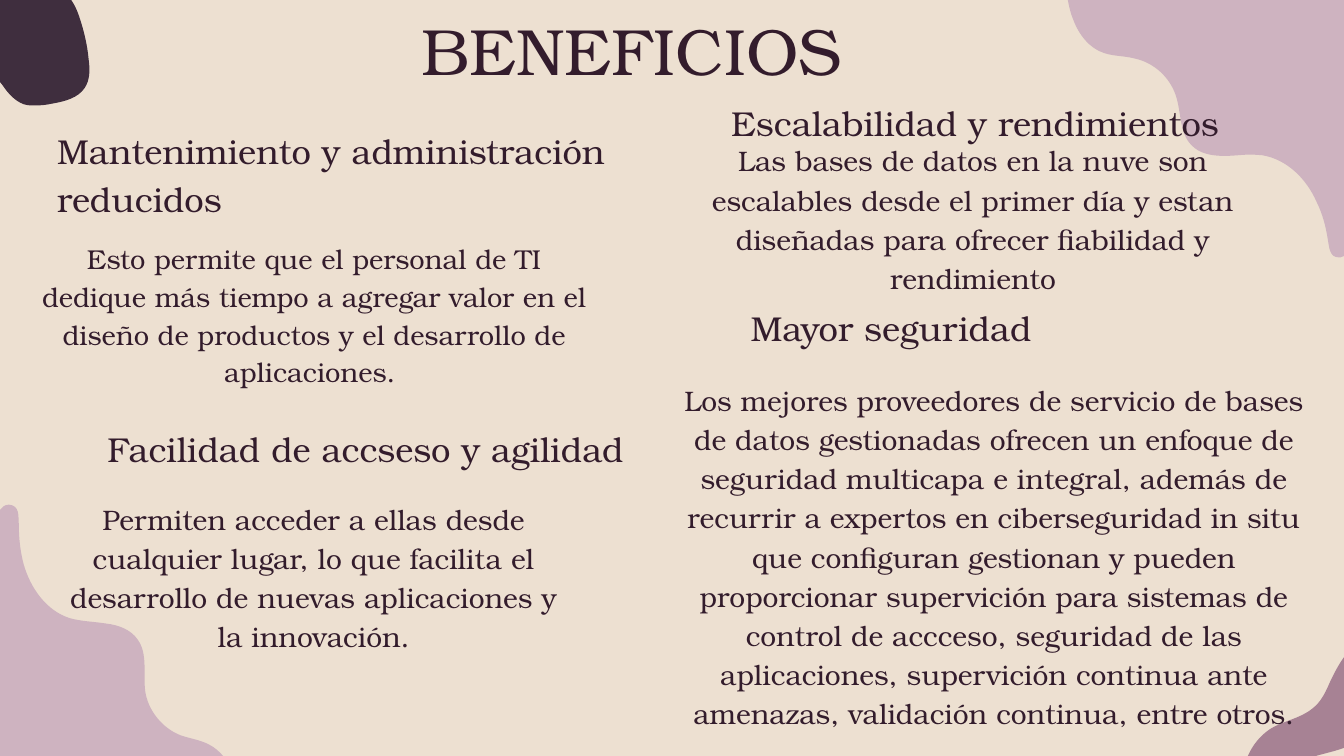
import pptx
import pptx.util
import pptx.dml.color
import pptx.enum.text
import pptx.oxml.ns
import lxml.etree

COLORS = {
    "cream": "EDE0D1",
    "ink": "331C2C",
    "lilac": "CEB3C0",
    "plum": "3F2E3E",
    "mauve": "A78294",
}
FONT = "TeX Gyre Bonum"
LEFT = pptx.enum.text.PP_ALIGN.LEFT
CENTER = pptx.enum.text.PP_ALIGN.CENTER

deck = pptx.Presentation()
deck.slide_width = pptx.util.Inches(20)
deck.slide_height = pptx.util.Inches(11.25)
COLS, ROWS = 20, 11.25  # square grid cells
cell = deck.slide_width / COLS
slide = deck.slides.add_slide(deck.slide_layouts[5])


def rgb(name):
    return pptx.dml.color.RGBColor.from_string(COLORS[name])


def write(box, place, text, size, spacing, align):
    """Place a box on the grid and fill it with one paragraph."""
    box.left, box.top, box.width, box.height = (round(n * cell) for n in place)
    frame = box.text_frame
    frame.word_wrap = True
    frame.auto_size = pptx.enum.text.MSO_AUTO_SIZE.SHAPE_TO_FIT_TEXT
    frame.vertical_anchor = pptx.enum.text.MSO_ANCHOR.TOP
    frame.margin_left = frame.margin_top = frame.margin_right = frame.margin_bottom = 0
    paragraph = frame.paragraphs[0]
    paragraph.alignment = align
    paragraph.line_spacing = pptx.util.Pt(spacing)
    run = paragraph.add_run()
    run.text = text
    run.font.name = FONT
    run.font.size = pptx.util.Pt(size)
    run.font.color.rgb = rgb("ink")


# Background
slide.background.fill.solid()
slide.background.fill.fore_color.rgb = rgb("cream")

# Corner blobs: a start point, then lines (2 numbers) and Bézier curves (6 numbers)
blobs = [
    ("lilac", (0.13, 7.51), [
        (0.07, 7.51, 0.03, 7.55, 0, 7.59), (0, ROWS), (3.32, ROWS),
        (3.26, 11.18, 3.19, 11.12, 3.11, 11.08),
        (2.98, 11.01, 2.82, 10.99, 2.68, 10.94),
        (2.41, 10.83, 2.2, 10.57, 2.16, 10.28),
        (2.13, 10.02, 2.2, 9.73, 2.05, 9.52),
        (1.95, 9.37, 1.76, 9.3, 1.58, 9.28),
        (1.4, 9.25, 1.22, 9.25, 1.04, 9.2),
        (0.69, 9.09, 0.45, 8.75, 0.35, 8.39),
        (0.3, 8.2, 0.28, 8, 0.28, 7.8),
        (0.27, 7.69, 0.3, 7.52, 0.13, 7.51),
    ]),
    ("plum", (0, 0), [
        (0, 1.22),
        (0.01, 1.24, 0.02, 1.25, 0.04, 1.27),
        (0.12, 1.39, 0.22, 1.5, 0.35, 1.55),
        (0.41, 1.57, 0.47, 1.57, 0.52, 1.57),
        (0.61, 1.57, 0.7, 1.56, 0.79, 1.54),
        (0.96, 1.51, 1.16, 1.46, 1.26, 1.31),
        (1.34, 1.19, 1.34, 1.04, 1.32, 0.89),
        (1.3, 0.67, 1.25, 0.46, 1.18, 0.25),
        (1.15, 0.16, 1.11, 0.07, 1.06, 0),
    ]),
    ("lilac", (15.89, 0), [
        (15.91, 0.1, 15.93, 0.2, 15.97, 0.29),
        (16.05, 0.51, 16.21, 0.72, 16.43, 0.79),
        (16.58, 0.84, 16.73, 0.83, 16.88, 0.87),
        (17.17, 0.93, 17.41, 1.15, 17.5, 1.43),
        (17.58, 1.68, 17.55, 1.98, 17.73, 2.16),
        (17.85, 2.29, 18.04, 2.32, 18.21, 2.32),
        (18.22, 2.32, 18.23, 2.32, 18.24, 2.32),
        (18.37, 2.32, 18.5, 2.3, 18.63, 2.3),
        (18.68, 2.3, 18.73, 2.31, 18.78, 2.31),
        (19.15, 2.37, 19.44, 2.66, 19.59, 3),
        (19.68, 3.18, 19.73, 3.37, 19.76, 3.57),
        (19.78, 3.67, 19.78, 3.83, 19.92, 3.83),
        (19.93, 3.83, 19.94, 3.83, 19.95, 3.83),
        (19.97, 3.83, 19.99, 3.82, COLS, 3.81), (COLS, 0),
    ]),
    ("mauve", (COLS, 9.78), [
        (19.92, 9.89, 19.86, 10.01, 19.8, 10.13),
        (19.74, 10.27, 19.68, 10.41, 19.57, 10.51),
        (19.38, 10.69, 19.11, 10.72, 18.9, 10.85),
        (18.75, 10.95, 18.64, 11.09, 18.57, ROWS), (19.58, ROWS),
        (19.72, 11.21, 19.86, 11.18, COLS, 11.13),
    ]),
]
qn = pptx.oxml.ns.qn
for color, start, segments in blobs:
    numbers = [round(n * cell) for segment in segments for n in segment]
    builder = slide.shapes.build_freeform(*(round(n * cell) for n in start))
    builder.add_line_segments(list(zip(numbers[::2], numbers[1::2])), close=True)
    blob = builder.convert_to_shape()
    # Join every three points of a curve into one Bézier segment
    steps = iter(list(blob.element.iter(qn("a:lnTo"))))
    for segment in segments:
        first = next(steps)
        if len(segment) == 6:
            curve = lxml.etree.Element(qn("a:cubicBezTo"))
            first.addprevious(curve)
            for step in (first, next(steps), next(steps)):
                curve.append(step[0])
                step.getparent().remove(step)
    blob.shadow.inherit = False
    blob.fill.solid()
    blob.fill.fore_color.rgb = rgb(color)
    blob.line.fill.background()

# Title
write(slide.shapes.title, (6.27, -0.04, 6.38, 1.32), "BENEFICIOS", 70, 98, LEFT)

# Benefit headings
headings = [
    ((0.85, 1.83, 8.57, 1.42), "Mantenimiento y administración reducidos"),
    ((1.6, 6.26, 7.9, 0.7), "Facilidad de accseso y agilidad"),
    ((11.17, 4.47, 4.33, 0.7), "Mayor seguridad"),
    ((10.88, 1.41, 7.51, 0.7), "Escalabilidad y rendimientos"),
]
for place, text in headings:
    write(slide.shapes.add_textbox(0, 0, 0, 0), place, text, 37, 51.8, LEFT)

# Benefit descriptions
descriptions = [
    ((0.46, 3.53, 8.43, 2.24), 29.2, 40.5,
     "Esto permite que el personal de TI dedique más tiempo a agregar valor en el "
     "diseño de productos y el desarrollo de aplicaciones. "),
    ((0.94, 7.39, 7.46, 2.31), 30.2, 42,
     "Permiten acceder a ellas desde cualquier lugar, lo que facilita el desarrollo "
     "de nuevas aplicaciones y la innovación."),
    ((10.52, 2.06, 7.92, 2.31), 30.2, 42,
     "Las bases de datos en la nuve son escalables desde el primer día y estan "
     "diseñadas para ofrecer fiabilidad y rendimiento"),
    ((10.04, 5.62, 9.51, 5.22), 30.2, 42,
     "Los mejores proveedores de servicio de bases de datos gestionadas ofrecen un "
     "enfoque de seguridad multicapa e integral, además de recurrir a expertos en "
     "ciberseguridad in situ que configuran gestionan y pueden proporcionar "
     "supervición para sistemas de control de accceso, seguridad de las "
     "aplicaciones, supervición continua ante amenazas, validación continua, "
     "entre otros."),
]
for place, size, spacing, text in descriptions:
    write(slide.shapes.add_textbox(0, 0, 0, 0), place, text, size, spacing, CENTER)

deck.save("out.pptx")
